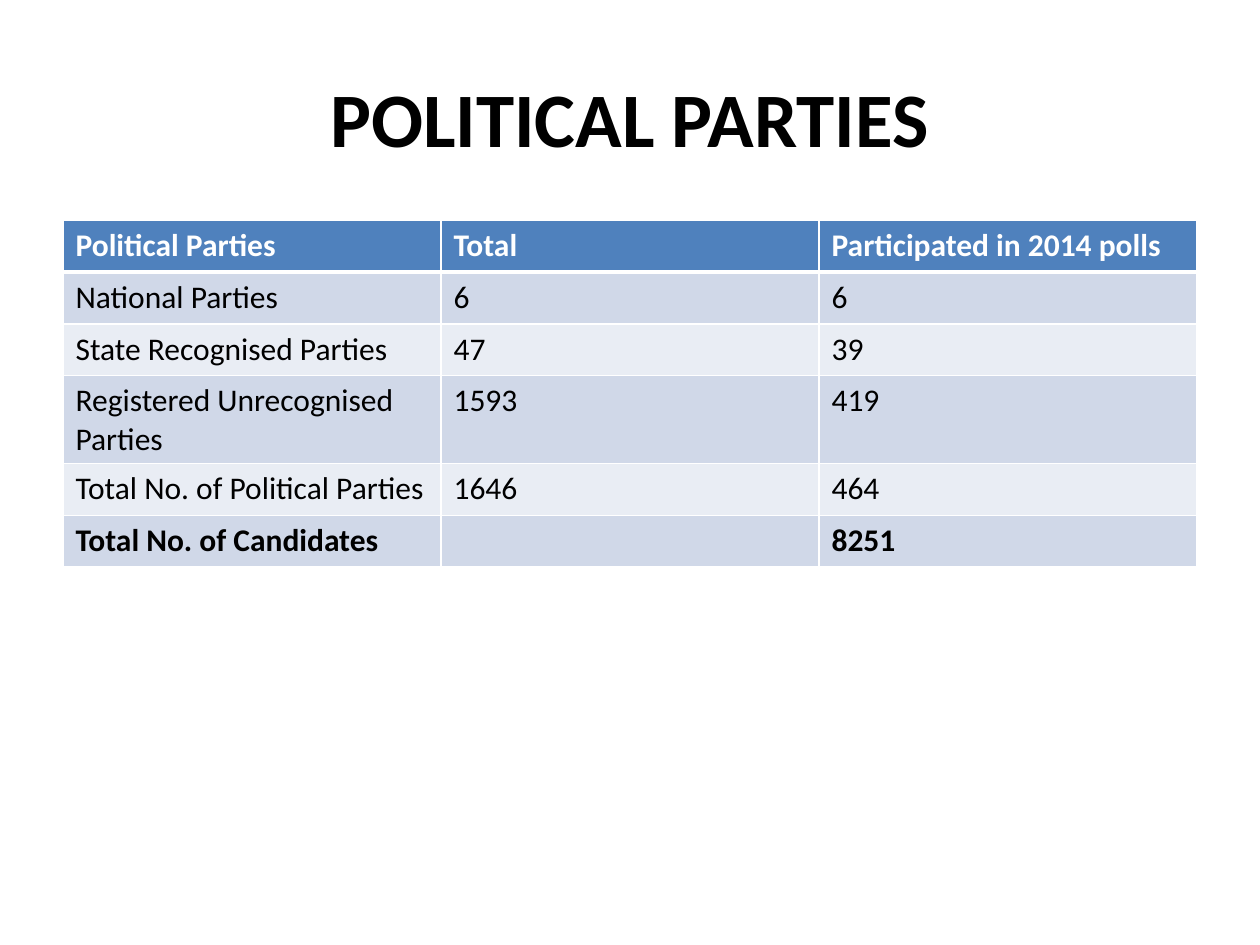
from dataclasses import dataclass

from lxml.etree import SubElement
from pptx import Presentation
from pptx.dml.color import RGBColor
from pptx.enum.text import MSO_ANCHOR, PP_ALIGN
from pptx.oxml.ns import qn
from pptx.util import Inches, Pt


@dataclass(frozen=True)
class Theme:
    font: str = "Calibri"
    title_size: int = 44
    body_size: int = 18
    text: str = "000000"
    light: str = "FFFFFF"
    header: str = "4F81BD"
    bands: tuple[str, str] = ("D0D8E8", "E9EDF4")
    border_width: int = 1
    header_rule_width: int = 3


@dataclass(frozen=True)
class Row:
    cells: tuple[str, str, str]
    bold: bool = False


THEME = Theme()
SLIDE_WIDTH, SLIDE_HEIGHT = Inches(10), Inches(7.5)
MARGIN = int(SLIDE_WIDTH * 0.05)
CONTENT_WIDTH = SLIDE_WIDTH - 2 * MARGIN
TITLE_TOP, TITLE_HEIGHT = int(SLIDE_HEIGHT * 0.04), Inches(1.25)
TABLE_TOP, ROW_HEIGHT = Inches(1.75), Inches(0.41)

ROWS = [
    Row(("Political Parties", "Total", "Participated in 2014 polls"), bold=True),
    Row(("National Parties", "6", "6")),
    Row(("State Recognised Parties", "47", "39")),
    Row(("Registered Unrecognised Parties", "1593", "419")),
    Row(("Total No. of Political Parties", "1646", "464")),
    Row(("Total No. of Candidates", "", "8251"), bold=True),
]


def write_text(frame, text: str, *, size: int, color: str, bold: bool,
               align=PP_ALIGN.LEFT) -> None:
    paragraph = frame.paragraphs[0]
    paragraph.alignment = align
    if not text:
        return
    run = paragraph.add_run()
    run.text = text
    run.font.name = THEME.font
    run.font.size = Pt(size)
    run.font.bold = bold
    run.font.color.rgb = RGBColor.from_string(color)


def set_border(cell, side: str, width: int) -> None:
    line = SubElement(cell._tc.get_or_add_tcPr(), qn(f"a:ln{side}"), w=str(Pt(width)))
    fill = SubElement(line, qn("a:solidFill"))
    SubElement(fill, qn("a:srgbClr"), val=THEME.light)


def draw_cell(cell, text: str, row_index: int, bold: bool) -> None:
    is_header = row_index == 0
    # Borders come before the fill in the cell properties
    for side in "LRTB":
        touches_rule = (row_index, side) in ((0, "B"), (1, "T"))
        set_border(cell, side,
                   THEME.header_rule_width if touches_rule else THEME.border_width)
    cell.fill.solid()
    cell.fill.fore_color.rgb = RGBColor.from_string(
        THEME.header if is_header else THEME.bands[(row_index - 1) % 2])
    write_text(cell.text_frame, text, size=THEME.body_size, bold=bold,
               color=THEME.light if is_header else THEME.text)


def draw_title(slide, text: str) -> None:
    title = slide.shapes.add_textbox(MARGIN, TITLE_TOP, CONTENT_WIDTH, TITLE_HEIGHT)
    title.text_frame.word_wrap = True
    title.text_frame.vertical_anchor = MSO_ANCHOR.MIDDLE
    write_text(title.text_frame, text, size=THEME.title_size, color=THEME.text,
               bold=True, align=PP_ALIGN.CENTER)


def draw_table(slide, rows: list[Row]) -> None:
    table = slide.shapes.add_table(
        len(rows), len(rows[0].cells), MARGIN, TABLE_TOP,
        CONTENT_WIDTH, ROW_HEIGHT * len(rows)).table
    for row_index, row in enumerate(rows):
        for column_index, text in enumerate(row.cells):
            draw_cell(table.cell(row_index, column_index), text, row_index, row.bold)


def main() -> None:
    presentation = Presentation()
    presentation.slide_width, presentation.slide_height = SLIDE_WIDTH, SLIDE_HEIGHT
    slide = presentation.slides.add_slide(presentation.slide_layouts[6])
    draw_title(slide, "POLITICAL PARTIES")
    draw_table(slide, ROWS)
    presentation.save("out.pptx")


if __name__ == "__main__":
    main()
